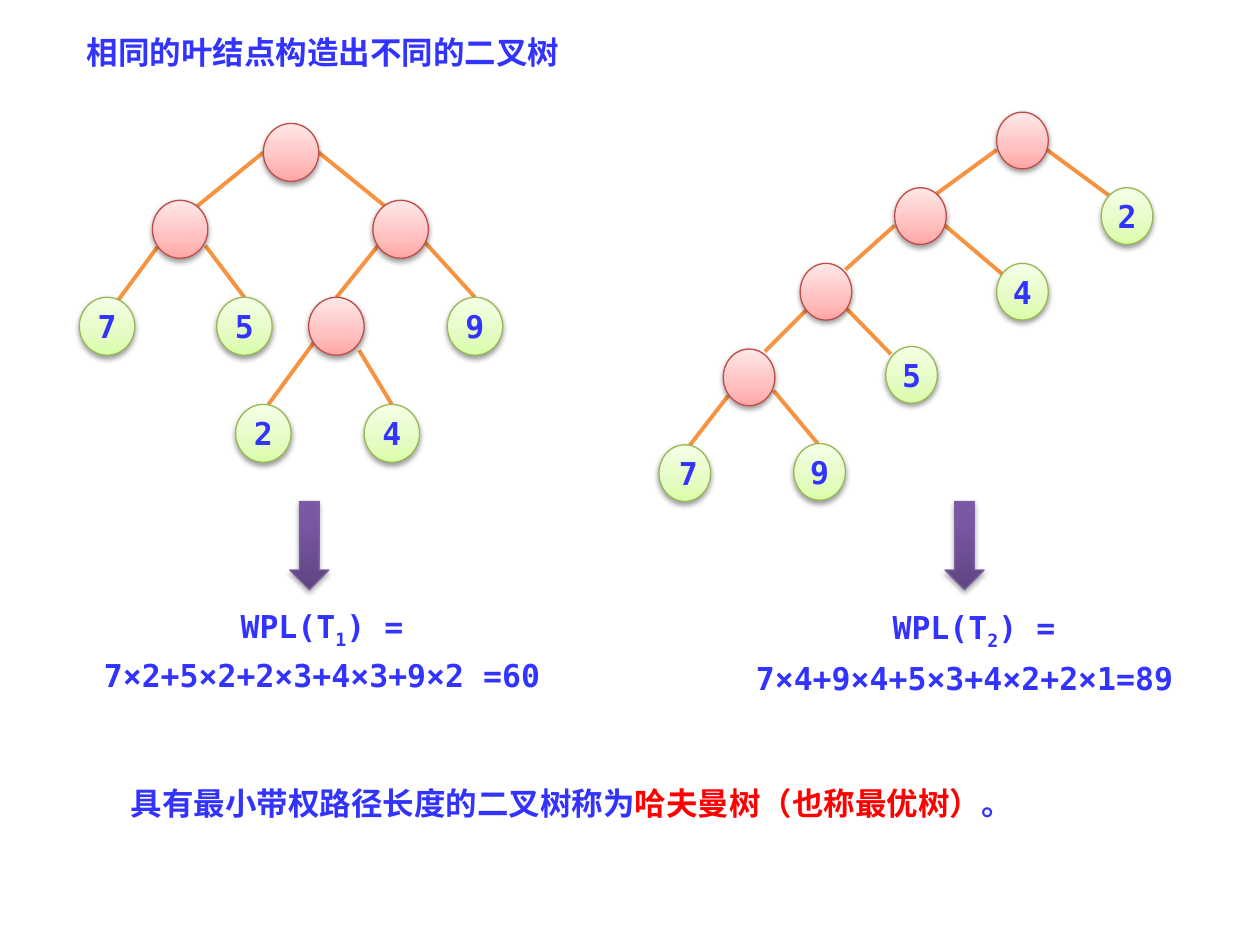
"""Build a slide comparing two binary trees with the same leaves."""
from lxml import etree
from pptx import Presentation
from pptx.dml.color import RGBColor
from pptx.enum.shapes import MSO_CONNECTOR, MSO_SHAPE
from pptx.enum.text import MSO_ANCHOR, MSO_AUTO_SIZE, PP_ALIGN
from pptx.oxml.ns import qn
from pptx.util import Inches, Pt

STRAIGHT = MSO_CONNECTOR.STRAIGHT
OVAL, DOWN_ARROW = MSO_SHAPE.OVAL, MSO_SHAPE.DOWN_ARROW
TOP, MIDDLE = MSO_ANCHOR.TOP, MSO_ANCHOR.MIDDLE
FIT_SHAPE = MSO_AUTO_SIZE.SHAPE_TO_FIT_TEXT
LEFT, CENTER = PP_ALIGN.LEFT, PP_ALIGN.CENTER

BLUE = RGBColor(0x33, 0x33, 0xFF)
RED = RGBColor(0xFF, 0x00, 0x00)
ORANGE = RGBColor(0xF6, 0x92, 0x40)
INNER_LINE = RGBColor(0xBF, 0x4C, 0x48)
LEAF_LINE = RGBColor(0x98, 0xB9, 0x55)
ARROW_LINE = RGBColor(0x7D, 0x60, 0xA0)
INNER_STOPS = [(0, RGBColor(0xFF, 0xA6, 0xA5)), (35, RGBColor(0xFF, 0xC0, 0xBF)),
               (100, RGBColor(0xFF, 0xE7, 0xE7))]
LEAF_STOPS = [(0, RGBColor(0xDA, 0xFD, 0xA7)), (35, RGBColor(0xE4, 0xFC, 0xC2)),
              (100, RGBColor(0xF5, 0xFF, 0xE7))]
ARROW_STOPS = [(0, RGBColor(0x5F, 0x44, 0x80)), (80, RGBColor(0x7B, 0x58, 0xA6)),
               (100, RGBColor(0x7C, 0x57, 0xA8))]
MONO = "DejaVu Sans Mono"

FIRST_EDGES = [
    (1.25, 1.96, 0.94, 2.38), (2.09, 1.21, 1.56, 1.64), (2.53, 1.21, 3.06, 1.64),
    (3, 1.95, 2.67, 2.36), (3.37, 1.92, 3.77, 2.36), (2.85, 2.78, 3.11, 3.21),
    (1.63, 1.95, 1.94, 2.36), (2.49, 2.72, 2.13, 3.21),
]
FIRST_NODES = [
    (1.21, 1.59, ""), (2.96, 1.59, ""), (2.09, 0.98, ""), (2.45, 2.36, ""),
    (3.55, 2.36, "9"), (1.87, 3.21, "2"), (2.89, 3.21, "4"),
    (0.63, 2.36, "7"), (1.72, 2.36, "5"),
]
SECOND_EDGES = [
    (6.72, 2.45, 7.07, 2.81), (5.78, 3.14, 5.47, 3.54), (7.91, 1.19, 7.43, 1.54),
    (7.5, 1.79, 7.96, 2.18), (7.1, 1.79, 6.71, 2.14), (6.14, 3.1, 6.49, 3.52),
    (6.41, 2.45, 6.07, 2.79), (8.31, 1.19, 8.8, 1.55),
]
SECOND_NODES = [
    (7.91, 0.89, ""), (7.1, 1.49, ""), (8.74, 1.49, "2"), (6.35, 2.09, ""),
    (7.91, 2.09, "4"), (5.74, 2.77, ""), (7.03, 2.75, "5"),
    (5.23, 3.53, "7"), (6.3, 3.52, "9"),
]


def format_paragraph(paragraph, font_name, alignment):
    """Apply the bold blue text style."""
    paragraph.alignment = alignment
    font = paragraph.font
    font.name, font.size, font.bold = font_name, Pt(18), True
    font.color.rgb = BLUE


def add_colour(parent, colour):
    """Append an RGB colour element and return it."""
    return etree.SubElement(parent, qn("a:srgbClr"), val=str(colour))


def style_shape(shape, stops, line_colour, shadow_alpha, shadow_distance):
    """Give a shape an upward gradient, a thin outline and a soft shadow."""
    shape.fill.gradient()
    shape.fill.gradient_angle = 90
    properties = shape._element.spPr
    stop_list = properties.find(".//" + qn("a:gsLst"))
    for stop in list(stop_list):
        stop_list.remove(stop)
    for position, colour in stops:
        add_colour(etree.SubElement(stop_list, qn("a:gs"), pos=str(position * 1000)), colour)
    shape.line.color.rgb = line_colour
    shape.line.width = Pt(0.75)
    shape.shadow.inherit = False
    shadow = etree.SubElement(
        properties.find(qn("a:effectLst")), qn("a:outerShdw"), blurRad=str(Pt(3.1)),
        dist=str(Pt(shadow_distance)), dir="5400000", rotWithShape="0")
    colour = add_colour(shadow, RGBColor(0, 0, 0))
    etree.SubElement(colour, qn("a:alpha"), val=str(shadow_alpha * 1000))


def add_edge(shapes, ends):
    """Draw one tree edge."""
    edge = shapes.add_connector(STRAIGHT, *map(Inches, ends))
    edge.line.color.rgb = ORANGE
    edge.line.width = Pt(2.25)
    etree.SubElement(edge._element.spPr, qn("a:effectLst"))


def add_node(shapes, left, top, size, label, alignment):
    """Draw a labelled leaf or an empty inner node."""
    node = shapes.add_shape(OVAL, *map(Inches, (left, top, *size)))
    stops, line_colour = (LEAF_STOPS, LEAF_LINE) if label else (INNER_STOPS, INNER_LINE)
    style_shape(node, stops, line_colour, 38, 1.6)
    if label:
        frame = node.text_frame
        frame.word_wrap = False
        frame.vertical_anchor = MIDDLE
        frame.text = label
        format_paragraph(frame.paragraphs[0], MONO, alignment)


def add_tree(slide, edges, nodes, size, left_aligned=""):
    """Draw a grouped tree with its edges behind its nodes."""
    shapes = slide.shapes.add_group_shape().shapes
    for ends in edges:
        add_edge(shapes, ends)
    for left, top, label in nodes:
        alignment = LEFT if label and label == left_aligned else CENTER
        add_node(shapes, left, top, size, label, alignment)


def add_text_box(shapes, box):
    """Add a wrapping text box and return its frame."""
    frame = shapes.add_textbox(*map(Inches, box)).text_frame
    frame.word_wrap = True
    frame.auto_size = FIT_SHAPE
    return frame


def add_path_length(slide, box, arrow_left, index, formula, line_spacing, gap):
    """Add the weighted path length of a tree below an arrow."""
    shapes = slide.shapes.add_group_shape().shapes
    frame = add_text_box(shapes, box)
    heading = frame.paragraphs[0]
    for text in ("WPL(T", index, ") ="):
        run = heading.add_run()
        run.text = text
        if text == index:
            run.font._element.set("baseline", "-25000")
    result = frame.add_paragraph()
    result.text = formula
    result.space_before = Pt(gap)
    for paragraph in frame.paragraphs:
        paragraph.line_spacing = line_spacing
        format_paragraph(paragraph, MONO, CENTER)
    arrow = shapes.add_shape(DOWN_ARROW, *map(Inches, (arrow_left, 3.98, 0.31, 0.7)))
    style_shape(arrow, ARROW_STOPS, ARROW_LINE, 35, 1.8)


def add_title(slide):
    """Place and format the title."""
    title = slide.shapes.title
    title.left, title.top, title.width, title.height = map(Inches, (0.59, 0.21, 7.32, 0.4))
    frame = title.text_frame
    frame.text = "相同的叶结点构造出不同的二叉树"
    frame.vertical_anchor = TOP
    frame.auto_size = FIT_SHAPE
    format_paragraph(frame.paragraphs[0], "Times New Roman", LEFT)


def add_definition(slide):
    """Add the definition with its term in red."""
    paragraph = add_text_box(slide.shapes, (0.94, 6.17, 8.28, 0.4)).paragraphs[0]
    term = "哈夫曼树（也称最优树）"
    for text in ("具有最小带权路径长度的二叉树称为", term, "。"):
        run = paragraph.add_run()
        run.text = text
        if text == term:
            run.font.color.rgb = RED
    format_paragraph(paragraph, "Noto Sans CJK JP", LEFT)


def main():
    """Build and save the slide."""
    presentation = Presentation()
    presentation.slide_width, presentation.slide_height = Inches(10), Inches(7.5)
    slide = presentation.slides.add_slide(presentation.slide_layouts[5])
    add_tree(slide, FIRST_EDGES, FIRST_NODES, (0.44, 0.46))
    add_tree(slide, SECOND_EDGES, SECOND_NODES, (0.41, 0.45), left_aligned="7")
    add_title(slide)
    add_path_length(slide, (0.39, 4.8, 4.33, 0.74), 2.3, "1",
                    "7×2+5×2+2×3+4×3+9×2 =60", 0.8, 10)
    add_path_length(slide, (5.78, 4.71, 3.9, 0.83), 7.5, "2",
                    "7×4+9×4+5×3+4×2+2×1=89 ", 1.2, 0)
    add_definition(slide)
    presentation.save("out.pptx")


if __name__ == "__main__":
    main()
